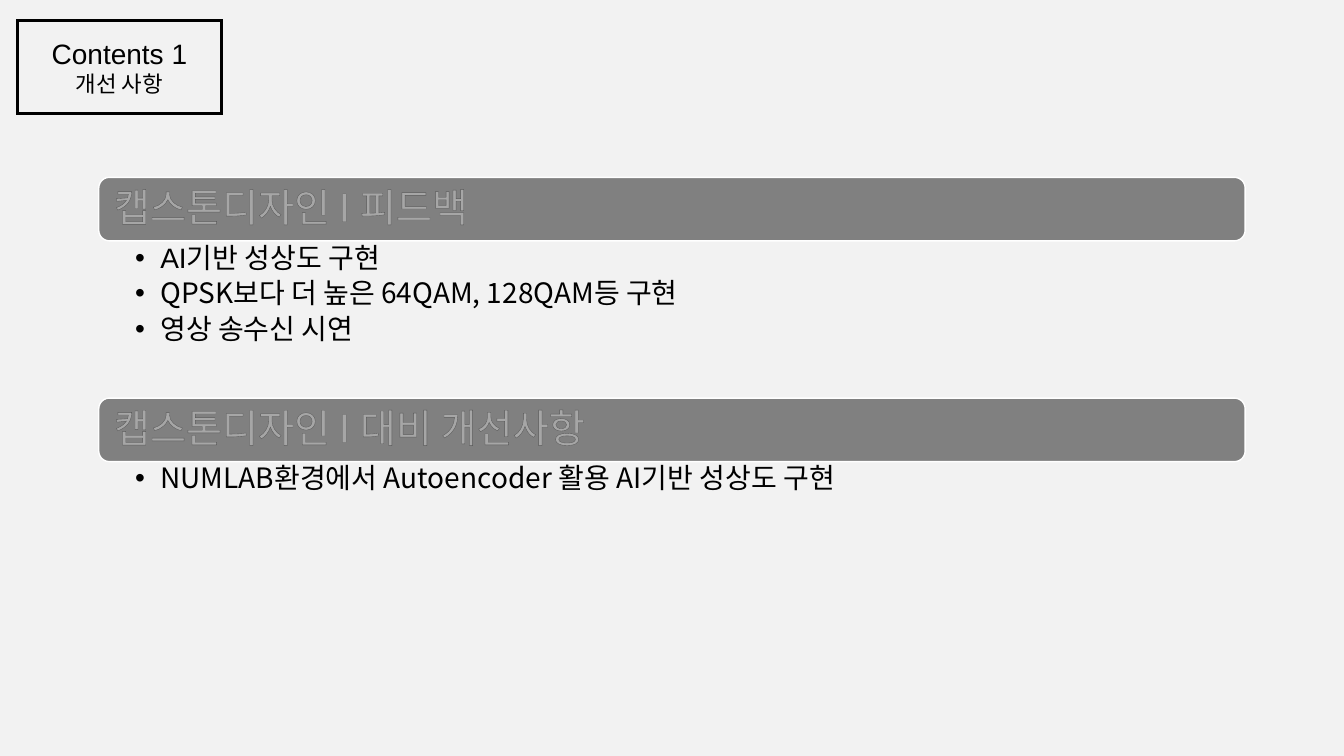
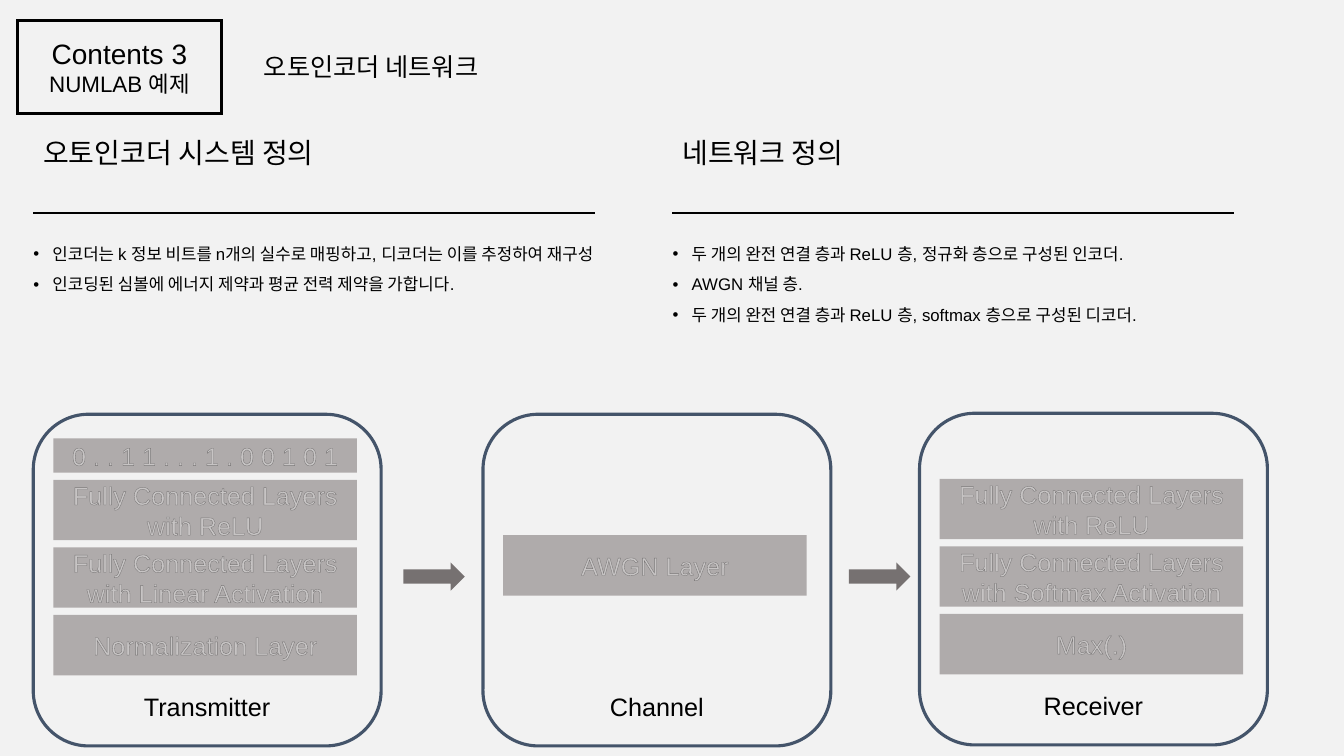
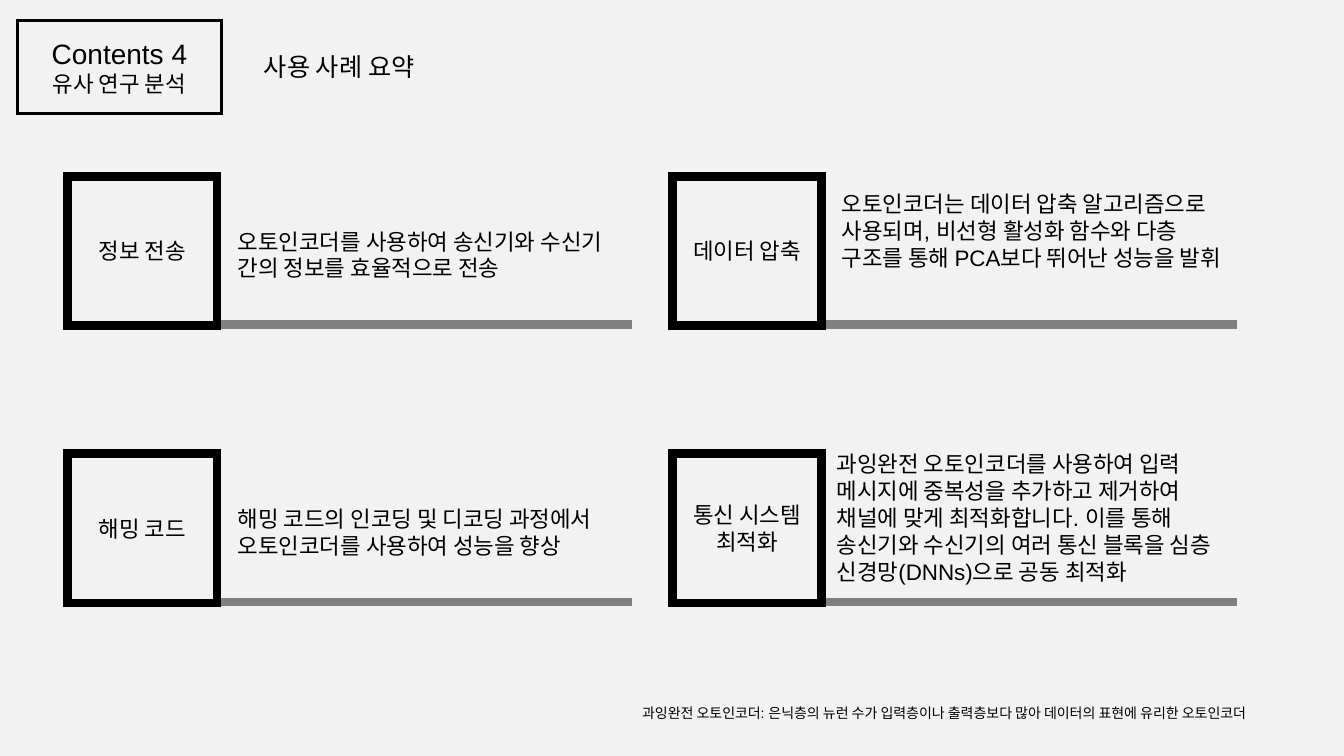
from lxml.etree import SubElement
from pptx import Presentation
from pptx.dml.color import RGBColor
from pptx.enum.shapes import MSO_CONNECTOR, MSO_SHAPE
from pptx.enum.text import MSO_ANCHOR, MSO_AUTO_SIZE, PP_ALIGN
from pptx.oxml import parse_xml
from pptx.oxml.ns import nsdecls, qn
from pptx.util import Inches, Pt

BLACK = RGBColor(0x00, 0x00, 0x00)
WHITE = RGBColor(0xFF, 0xFF, 0xFF)
PAPER = RGBColor(0xF2, 0xF2, 0xF2)
GRAY = RGBColor(0x80, 0x80, 0x80)
LAYER = RGBColor(0xAF, 0xAB, 0xAB)
ARROW = RGBColor(0x76, 0x71, 0x71)
NAVY = RGBColor(0x44, 0x54, 0x6A)

ARIAL, LATO, NOTO = "Arial", "Lato", "Noto Sans CJK KR"
TWO_CONTENT, TITLE_ONLY = 3, 5
LEFT, CENTER, JUSTIFY = PP_ALIGN.LEFT, PP_ALIGN.CENTER, PP_ALIGN.JUSTIFY
TOP, MIDDLE = MSO_ANCHOR.TOP, MSO_ANCHOR.MIDDLE


def place(sp, x, y, w, h):
    sp.left, sp.top, sp.width, sp.height = map(Inches, (x, y, w, h))


def set_line(sp, color, weight):
    """Solid outline with square corners."""
    sp.line.color.rgb = color
    sp.line.width = Pt(weight)
    SubElement(sp._element.spPr.find(qn("a:ln")), qn("a:miter")).set("lim", "800000")


def set_text(sp, lines, size=16, font=ARIAL, color=BLACK, align=LEFT, anchor=TOP,
             spacing=1.0, after=0, bullet=0, insets=(0.1, 0.05, 0.1, 0.05)):
    """Each line is a string or a tuple (string, overrides of size, font and outline)."""
    tf = sp.text_frame
    tf.word_wrap = True
    tf.auto_size = MSO_AUTO_SIZE.NONE
    tf.vertical_anchor = anchor
    tf.margin_left, tf.margin_top, tf.margin_right, tf.margin_bottom = map(Inches, insets)
    for i, line in enumerate(lines):
        text, own = (line, {}) if isinstance(line, str) else line
        p = tf.paragraphs[0] if i == 0 else tf.add_paragraph()
        p.alignment, p.line_spacing = align, spacing
        p.space_before, p.space_after = Pt(0), Pt(after)
        if bullet:
            pPr = p._p.get_or_add_pPr()
            pPr.set("marL", str(Inches(bullet)))
            pPr.set("indent", str(-Inches(bullet)))
            SubElement(pPr, qn("a:buFont")).set("typeface", ARIAL)
            SubElement(pPr, qn("a:buChar")).set("char", "•")
        r = p.add_run()
        r.text = text
        r.font.size = Pt(own.get("size", size))
        r.font.name = own.get("font", font)
        r.font.bold = False
        r.font.color.rgb = color
        rPr = r.font._element
        rPr.find(qn("a:latin")).addnext(
            parse_xml(f'<a:ea {nsdecls("a")} typeface="{NOTO}"/>'))
        if own.get("outline", True):
            rPr.insert(0, parse_xml(
                f'<a:ln {nsdecls("a")} w="9525"><a:solidFill><a:srgbClr val="000000">'
                '<a:alpha val="30000"/></a:srgbClr></a:solidFill></a:ln>'))


def add_text(s, x, y, w, h, lines, **fmt):
    set_text(s.shapes.add_textbox(*map(Inches, (x, y, w, h))), lines, **fmt)


def add_box(s, kind, x, y, w, h, fill=None, line=None, weight=1):
    sp = s.shapes.add_shape(kind, *map(Inches, (x, y, w, h)))
    sp.shadow.inherit = False
    if fill is None:
        sp.fill.background()
    else:
        sp.fill.solid()
        sp.fill.fore_color.rgb = fill
    if line is None:
        sp.line.fill.background()
    else:
        set_line(sp, line, weight)
    return sp


def add_rule(s, x, y, w, color, weight):
    rule = s.shapes.add_connector(MSO_CONNECTOR.STRAIGHT, *map(Inches, (x, y, x + w, y)))
    rule.line.color.rgb = color
    rule.line.width = Pt(weight)
    SubElement(rule._element.spPr, qn("a:effectLst"))


def new_slide(prs, layout, number, name, subtitle=None):
    """Slide with the framed section title and an optional subtitle."""
    s = prs.slides.add_slide(prs.slide_layouts[layout])
    title = s.shapes.title
    place(title, 0.17, 0.2, 2.03, 0.93)
    set_line(title, BLACK, 2)
    set_text(title, [(f"Contents {number}", {"size": 20}), name], align=CENTER, anchor=MIDDLE)
    if subtitle:
        add_text(s, 2.52, 0.46, 8.83, 0.4, [subtitle], size=18)
    return s


# Slide 1: heading bar with its list
def feedback_section(s, body, y, heading, items, h):
    x, w, bar_h = 0.98, 11.37, 0.63
    bar = add_box(s, MSO_SHAPE.ROUNDED_RECTANGLE, x, y, w, bar_h, GRAY, WHITE)
    set_text(bar, [heading], size=28, font=LATO, color=WHITE, anchor=MIDDLE,
             spacing=0.9, insets=(0.12, 0.12, 0.12, 0.12))
    place(body, x, y + bar_h, w, h)
    set_text(body, items, size=20, font=NOTO, spacing=0.9, after=4, bullet=0.25,
             insets=(0.36, 0.03, 0.16, 0.03))


# Slide 2: definition column, then a stage of the signal chain
def definition_column(s, body, x, y, heading, items):
    add_text(s, x, y, 4.16, 0.44, [heading], size=20, font=LATO)
    add_rule(s, x, y + 0.81, 5.57, BLACK, 1.25)
    place(body, x - 0.1, y + 0.97, 5.77, 0.97)
    set_text(body, items, size=12, align=JUSTIFY, spacing=1.5, bullet=0.19)


def add_layer(s, x, y, h, text):
    sp = add_box(s, MSO_SHAPE.RECTANGLE, x, y, 3.01, h, LAYER)
    set_text(sp, [text], size=18, color=WHITE, align=CENTER, anchor=MIDDLE)


def chain_stage(s, x, y, label, layers, first=0.65, bits=None):
    w, pitch = 3.45, 0.67
    if bits:
        add_layer(s, x + 0.2, y + 0.24, 0.34, bits)
    for i, text in enumerate(layers):
        add_layer(s, x + 0.2, y + first + i * pitch, 0.6, text)
    add_box(s, MSO_SHAPE.ROUNDED_RECTANGLE, x, y, w, 3.29, line=NAVY, weight=2.25)
    add_text(s, x, y + 2.7, w, 0.4, [label], size=18, align=CENTER)


# Slide 3: square label, grey rule and description
def use_case(s, x, y, label, text, dx, dy):
    side = 1.48
    add_rule(s, x + side, y + 1.47, 4.12, GRAY, 6)
    square = add_box(s, MSO_SHAPE.RECTANGLE, x, y, side, side, line=BLACK, weight=6)
    set_text(square, [label], align=CENTER, anchor=MIDDLE)
    add_text(s, x + dx, y + dy, 4.01, 1.45, [text])


def feedback_slide(prs):
    s = new_slide(prs, TWO_CONTENT, 1, "개선 사항")
    _, upper, lower = s.placeholders
    feedback_section(s, upper, 1.76, "캡스톤디자인 I 피드백", [
        ("AI기반 성상도 구현", {"font": ARIAL}),
        ("QPSK보다 더 높은 64QAM, 128QAM등 구현", {"outline": False}),
        ("영상 송수신 시연", {"outline": False})], 1.56)
    feedback_section(s, lower, 3.95, "캡스톤디자인 I 대비 개선사항", [
        ("NUMLAB환경에서 Autoencoder 활용 AI기반 성상도 구현", {"outline": False})], 1.16)


def network_slide(prs):
    s = new_slide(prs, TWO_CONTENT, 3, "NUMLAB 예제", "오토인코더 네트워크")
    _, left, right = s.placeholders
    definition_column(s, left, 0.33, 1.3, "오토인코더 시스템 정의", [
        "인코더는 k 정보 비트를 n개의 실수로 매핑하고, 디코더는 이를 추정하여 재구성",
        "인코딩된 심볼에 에너지 제약과 평균 전력 제약을 가합니다."])
    definition_column(s, right, 6.67, 1.3, "네트워크 정의", [
        "두 개의 완전 연결 층과 ReLU 층, 정규화 층으로 구성된 인코더.",
        "AWGN 채널 층.",
        "두 개의 완전 연결 층과 ReLU 층, softmax 층으로 구성된 디코더."])
    chain_stage(s, 0.33, 4.11, "Transmitter", [
        "Fully Connected Layers with ReLU",
        "Fully Connected Layers with Linear Activation",
        "Normalization Layer"], bits="0 . . 1 1 . . . 1 . 0 0 1 0 1")
    chain_stage(s, 4.79, 4.11, "Channel", ["AWGN Layer"], first=1.2)
    chain_stage(s, 9.12, 4.1, "Receiver", [
        "Fully Connected Layers with ReLU",
        "Fully Connected Layers with Softmax Activation",
        "Max(.)"])
    for x in (4, 8.42):
        add_box(s, MSO_SHAPE.RIGHT_ARROW, x, 5.58, 0.61, 0.28, ARROW)


def use_case_slide(prs):
    s = new_slide(prs, TITLE_ONLY, 4, "유사 연구 분석", "사용 사례 요약")
    cases = [
        ("정보 전송", "오토인코더를 사용하여 송신기와 수신기 간의 정보를 효율적으로 전송",
         1.59, 0.46),
        ("데이터 압축", "오토인코더는 데이터 압축 알고리즘으로 사용되며, 비선형 활성화 함수와 "
         "다층 구조를 통해 PCA보다 뛰어난 성능을 발휘", 1.58, 0.09),
        ("해밍 코드", "해밍 코드의 인코딩 및 디코딩 과정에서 오토인코더를 사용하여 성능을 향상",
         1.59, 0.46),
        ("통신 시스템 최적화", "과잉완전 오토인코더를 사용하여 입력 메시지에 중복성을 추가하고 "
         "제거하여 채널에 맞게 최적화합니다. 이를 통해 송신기와 수신기의 여러 통신 블록을 "
         "심층 신경망(DNNs)으로 공동 최적화", 1.53, -0.08),
    ]
    for i, case in enumerate(cases):
        row, col = divmod(i, 2)
        use_case(s, 0.67 + 6 * col, 1.75 + 2.75 * row, *case)
    add_text(s, 6.27, 6.94, 7.02, 0.27, [
        "과잉완전 오토인코더: 은닉층의 뉴런 수가 입력층이나 출력층보다 많아 "
        "데이터의 표현에 유리한 오토인코더"], size=10)


def main():
    prs = Presentation()
    prs.slide_width, prs.slide_height = Inches(13.33), Inches(7.5)
    paper = prs.slide_master.background.fill
    paper.solid()
    paper.fore_color.rgb = PAPER
    feedback_slide(prs)
    network_slide(prs)
    use_case_slide(prs)
    prs.save("out.pptx")


if __name__ == "__main__":
    main()
